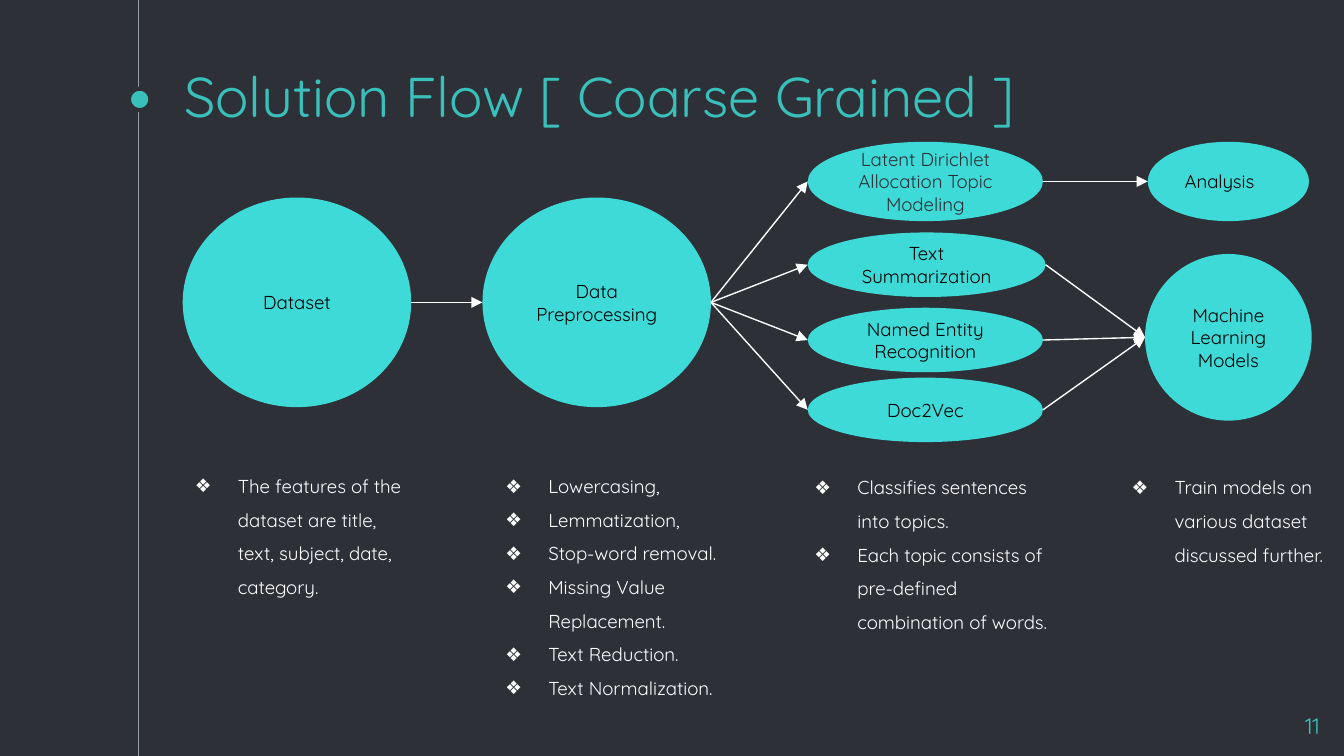
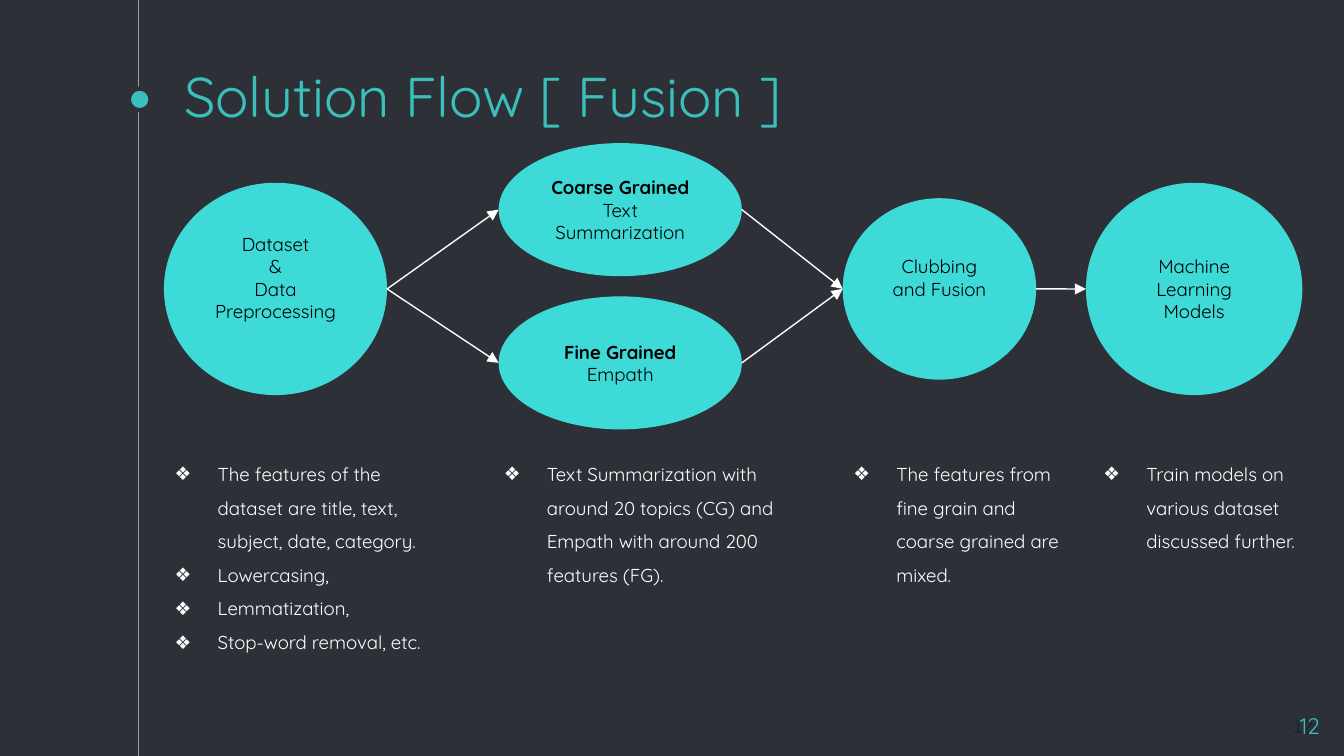
"""Build two solution-flow slides: ellipses joined by arrows above bulleted notes."""
from lxml import etree
from pptx import Presentation
from pptx.dml.color import RGBColor
from pptx.enum.shapes import MSO_CONNECTOR, MSO_SHAPE
from pptx.enum.text import MSO_ANCHOR, MSO_AUTO_SIZE, PP_ALIGN
from pptx.oxml.ns import qn
from pptx.util import Inches, Pt

STRAIGHT = MSO_CONNECTOR.STRAIGHT
ELLIPSE = MSO_SHAPE.OVAL
TOP, MIDDLE, BOTTOM = MSO_ANCHOR.TOP, MSO_ANCHOR.MIDDLE, MSO_ANCHOR.BOTTOM
LEFT, CENTER, RIGHT = PP_ALIGN.LEFT, PP_ALIGN.CENTER, PP_ALIGN.RIGHT
ELLIPSE_LEFT_SITE, ELLIPSE_RIGHT_SITE = 2, 6

WIDTH = 10
HEIGHT = WIDTH * 9 / 16
FONT = "Quicksand"
COLORS = {
    "background": "2E3037",
    "accent": "39C0BA",
    "node": "3EDAD8",
    "rail": "999FA9",
    "white": "FFFFFF",
    "black": "000000",
    "ink": "202729",
}
RAIL_X = 1.03
DOT_BOX = (0.96, 0.66, 0.16, 0.16)
TITLE_BOX = (1.27, 0.46, 7.5, 0.6)
NUMBER_BOX = (9.32, 5.2, 0.6, 0.34)
INSET = 0.1
LINE_HEIGHT = 0.17

TRAINING_NOTE = ["Train models on various dataset discussed further."]
DATASET_NOTE = "The features of the dataset are title, text, subject, date, category."

# Nodes: left, middle, width, height. Notes: left, top, width, height.
SLIDES = [
    {
        "title": "Solution Flow [ Coarse Grained ]",
        "number": "11",
        "nodes": {
            "dataset": {"box": (1.36, 2.25, 1.7, 1.56), "lines": ["Dataset"]},
            "preprocessing": {"box": (3.59, 2.25, 1.7, 1.56), "lines": ["Data Preprocessing"]},
            "topics": {
                "box": (6.01, 1.35, 1.75, 0.59),
                "lines": ["Latent Dirichlet Allocation Topic Modeling"],
                "color": "background",
            },
            "summary": {"box": (6.01, 1.97, 1.77, 0.48), "lines": ["Text Summarization"]},
            "entities": {"box": (6.01, 2.53, 1.75, 0.48), "lines": ["Named Entity Recognition"]},
            "vectors": {"box": (6.01, 3.05, 1.75, 0.48), "lines": ["Doc2Vec"]},
            "analysis": {"box": (8.54, 1.35, 1.2, 0.59), "lines": ["Analysis"], "align": LEFT},
            "models": {"box": (8.52, 2.51, 1.24, 1.24), "lines": ["Machine Learning Models"]},
        },
        "arrows": [
            ("dataset", "preprocessing"),
            ("preprocessing", "topics"),
            ("preprocessing", "summary"),
            ("preprocessing", "entities"),
            ("preprocessing", "vectors"),
            ("topics", "analysis"),
            ("summary", "models"),
            ("entities", "models"),
            ("vectors", "models"),
        ],
        "notes": [
            ((1.27, 3.45, 1.78, 1.24), [DATASET_NOTE]),
            ((3.58, 3.45, 1.78, 1.98), [
                "Lowercasing,",
                "Lemmatization,",
                "Stop-word removal.",
                "Missing Value Replacement.",
                "Text Reduction.",
                "Text Normalization.",
            ]),
            ((5.88, 3.46, 2, 1.17), [
                "Classifies sentences into topics.",
                "Each topic consists of pre-defined combination of words.",
            ]),
            ((8.24, 3.46, 1.66, 0.84), TRAINING_NOTE),
        ],
    },
    {
        "title": "Solution Flow [ Fusion ]",
        "number": "12",
        "under_number": (9.32, 5.19, 0.55, 0.42),
        "nodes": {
            "data": {
                "box": (1.22, 2.15, 1.66, 1.58),
                "lines": ["Dataset", "&", "Data Preprocessing"],
                "raised": True,
            },
            "coarse": {
                "box": (3.71, 1.56, 1.81, 0.99),
                "lines": ["Coarse Grained", "Text Summarization"],
                "headed": True,
            },
            "fine": {
                "box": (3.71, 2.7, 1.81, 0.99),
                "lines": ["Fine Grained", "Empath"],
                "headed": True,
            },
            "fusion": {
                "box": (6.27, 2.15, 1.44, 1.35),
                "lines": ["Clubbing and Fusion"],
                "raised": True,
            },
            "models": {"box": (8.08, 2.15, 1.61, 1.58), "lines": ["Machine Learning Models"]},
        },
        "arrows": [
            ("data", "coarse"),
            ("data", "fine"),
            ("coarse", "fusion"),
            ("fine", "fusion"),
            ("fusion", "models"),
        ],
        "notes": [
            ((1.12, 3.36, 2.05, 2), [
                DATASET_NOTE,
                "Lowercasing,",
                "Lemmatization,",
                "Stop-word removal, etc.",
            ]),
            ((3.57, 3.36, 2.2, 2), [
                "Text Summarization with around 20 topics (CG) and "
                "Empath with around 200 features (FG).",
            ]),
            ((6.17, 3.36, 1.73, 2), ["The features from fine grain and coarse grained are mixed."]),
            ((8.03, 3.36, 1.66, 0.85), TRAINING_NOTE),
        ],
    },
]


def rgb(name):
    """Return the named colour."""
    return RGBColor.from_string(COLORS[name])


def inches(values):
    """Convert plain numbers to lengths."""
    return [Inches(value) for value in values]


def write(shape, lines, size, color, align=LEFT, anchor=TOP, inset=INSET, font=FONT):
    """Fill a shape with one formatted paragraph per line."""
    frame = shape.text_frame
    frame.text = "\n".join(lines)
    frame.word_wrap = True
    frame.auto_size = MSO_AUTO_SIZE.NONE
    frame.vertical_anchor = anchor
    frame.margin_left = frame.margin_right = Inches(inset)
    frame.margin_top = frame.margin_bottom = Inches(inset)
    for paragraph in frame.paragraphs:
        paragraph.alignment = align
        for run in paragraph.runs:
            run.font.name = font
            run.font.size = Pt(size)
            run.font.color.rgb = rgb(color)
    return frame


def add_ellipse(slide, box, fill):
    """Add a plain ellipse without outline."""
    shape = slide.shapes.add_shape(ELLIPSE, *inches(box))
    shape.shadow.inherit = False
    shape.fill.solid()
    shape.fill.fore_color.rgb = rgb(fill)
    shape.line.fill.background()
    return shape


def add_line(slide, ends, color):
    """Add a thin straight connector without shadow."""
    line = slide.shapes.add_connector(STRAIGHT, *ends)
    line.line.color.rgb = rgb(color)
    line.line.width = Pt(0.75)
    etree.SubElement(line.element.spPr, qn("a:effectLst"))
    return line


def add_node(slide, node):
    """Add one step of the flow."""
    left, middle, width, height = node["box"]
    shape = add_ellipse(slide, (left, middle - height / 2, width, height), "node")
    frame = write(shape, node["lines"], 10, node.get("color", "black"),
                  node.get("align", CENTER), MIDDLE)
    if node.get("raised"):
        frame.margin_bottom = Inches(INSET + LINE_HEIGHT)
    if node.get("headed"):
        frame.paragraphs[0].runs[0].font.bold = True
    return shape


def add_arrow(slide, source, target):
    """Join the right of one ellipse to the left of another."""
    ends = (source.left + source.width, source.top + source.height // 2,
            target.left, target.top + target.height // 2)
    arrow = add_line(slide, ends, "white")
    outline = arrow.element.spPr.find(qn("a:ln"))
    etree.SubElement(outline, qn("a:tailEnd"), type="triangle")
    joints = arrow.element.find(".//" + qn("p:cNvCxnSpPr"))
    for tag, shape, site in (("a:stCxn", source, ELLIPSE_RIGHT_SITE),
                             ("a:endCxn", target, ELLIPSE_LEFT_SITE)):
        etree.SubElement(joints, qn(tag), id=str(shape.shape_id), idx=str(site))


def add_note(slide, box, lines):
    """Add a bulleted column of notes."""
    frame = write(slide.shapes.add_textbox(*inches(box)), lines, 10, "white", inset=0)
    for paragraph in frame.paragraphs:
        paragraph.line_spacing = 1.5
        properties = paragraph._p.get_or_add_pPr()
        properties.set("marL", str(Inches(0.5)))
        properties.set("indent", str(Inches(-0.32)))
        bullet_color = etree.SubElement(properties, qn("a:buClr"))
        etree.SubElement(bullet_color, qn("a:srgbClr"), val=COLORS["white"])
        etree.SubElement(properties, qn("a:buSzPts"), val="1000")
        etree.SubElement(properties, qn("a:buFont"), typeface=FONT)
        etree.SubElement(properties, qn("a:buChar"), char="❖")


def add_rail(slide):
    """Add the vertical rail and its dot beside the title."""
    add_line(slide, inches((RAIL_X, 0, RAIL_X, HEIGHT)), "rail")
    dot = add_ellipse(slide, DOT_BOX, "accent")
    dot.line.color.rgb = rgb("background")
    dot.line.width = Pt(2.25)


def add_title(slide, text):
    """Place and format the title."""
    title = slide.shapes.title
    title.left, title.top, title.width, title.height = inches(TITLE_BOX)
    write(title, [text], 30, "accent", anchor=BOTTOM)


def build_slide(presentation, content):
    """Build one flow slide."""
    slide = presentation.slides.add_slide(presentation.slide_layouts[5])
    add_rail(slide)
    add_title(slide, content["title"])
    if "under_number" in content:
        box = slide.shapes.add_textbox(*inches(content["under_number"]))
        write(box, [content["number"]], 10, "ink", RIGHT, MIDDLE, font="Arial")
    nodes = {name: add_node(slide, node) for name, node in content["nodes"].items()}
    for source, target in content["arrows"]:
        add_arrow(slide, nodes[source], nodes[target])
    for box, lines in content["notes"]:
        add_note(slide, box, lines)
    number = slide.shapes.add_textbox(*inches(NUMBER_BOX))
    write(number, [content["number"]], 12, "accent", RIGHT)


def main():
    """Build and save the presentation."""
    presentation = Presentation()
    presentation.slide_width, presentation.slide_height = inches((WIDTH, HEIGHT))
    background = presentation.slide_master.background.fill
    background.solid()
    background.fore_color.rgb = rgb("background")
    for content in SLIDES:
        build_slide(presentation, content)
    presentation.save("out.pptx")


if __name__ == "__main__":
    main()
